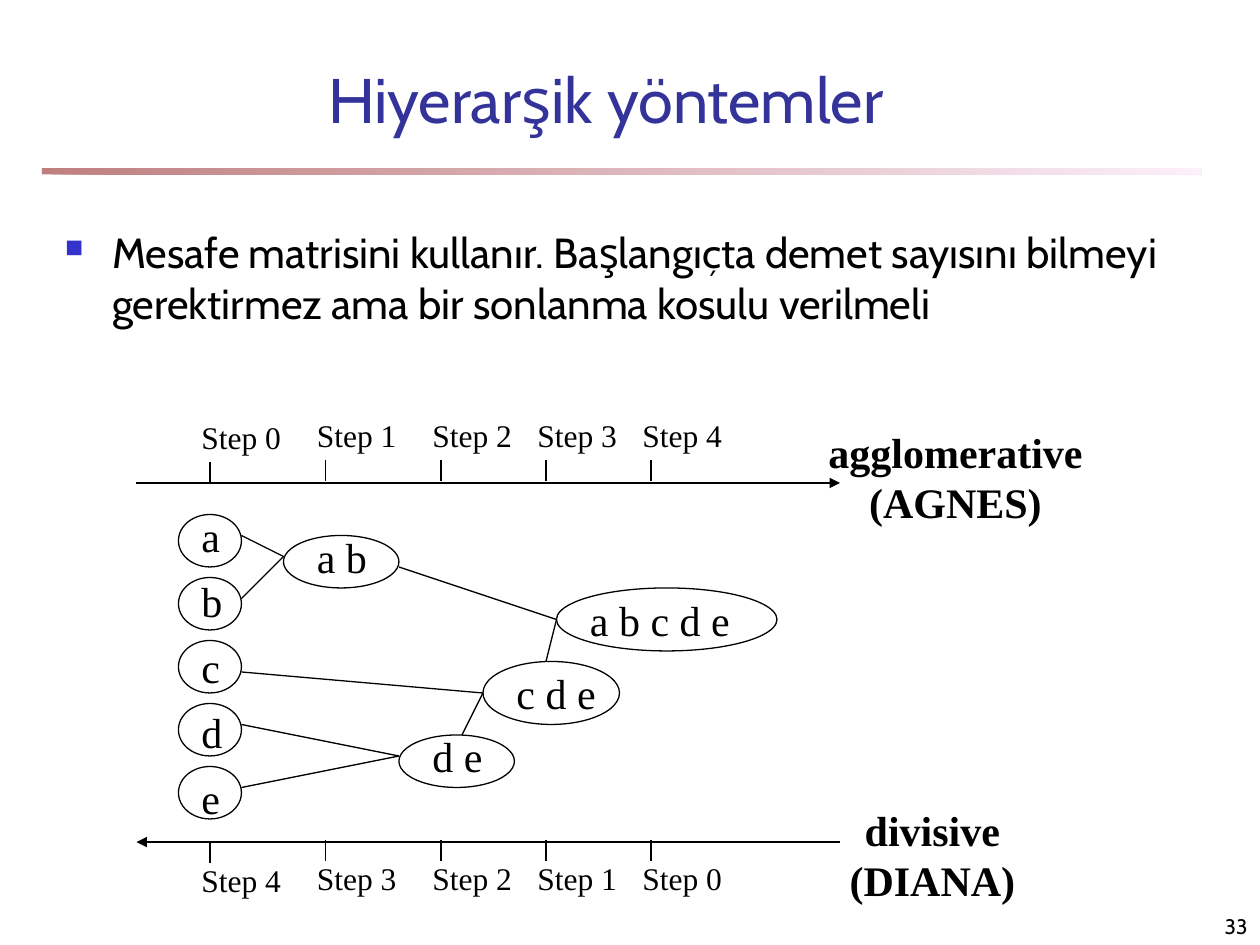
from lxml.etree import SubElement
from pptx import Presentation
from pptx.dml.color import RGBColor
from pptx.enum.shapes import MSO_CONNECTOR, MSO_SHAPE
from pptx.enum.text import MSO_ANCHOR, PP_ALIGN
from pptx.oxml.ns import qn
from pptx.util import Pt

PX = 7620  # 120 px to the inch
BLACK = "000000"
SERIF, SANS = "Times New Roman", "Cabin"

deck = Presentation()
deck.slide_width, deck.slide_height = 1200 * PX, 900 * PX
page = deck.slides.add_slide(deck.slide_layouts[6])


def add_text(text, left, top, width, height, size=24, font=SERIF, color=BLACK,
             align=PP_ALIGN.LEFT, wrap=False, bold=False):
    box = page.shapes.add_textbox(left * PX, top * PX, width * PX, height * PX)
    frame = box.text_frame
    frame.text = text
    frame.word_wrap = wrap
    for para in frame.paragraphs:
        para.alignment = align
        for span in para.runs:
            span.font.size = Pt(size)
            span.font.name = font
            span.font.bold = bold
            span.font.color.rgb = RGBColor.from_string(color)
    return frame


def add_line(x1, y1, x2, y2, weight=0.75, arrow=False):
    line = page.shapes.add_connector(
        MSO_CONNECTOR.STRAIGHT, x1 * PX, y1 * PX, x2 * PX, y2 * PX)
    line.line.color.rgb = RGBColor.from_string(BLACK)
    line.line.width = Pt(weight)
    properties = line._element.spPr
    if arrow:
        SubElement(properties.find(qn("a:ln")), qn("a:tailEnd"), type="triangle")
    SubElement(properties, qn("a:effectLst"))


# Fading rule under the title
rule = page.shapes.add_shape(MSO_SHAPE.RECTANGLE, 40 * PX, 160 * PX, 1104 * PX, 6 * PX)
rule.shadow.inherit = False
rule.line.fill.background()
rule.fill.gradient()
rule.fill.gradient_angle = 0
for stop, color in zip(rule.fill.gradient_stops, ("800000", "FAE2F6")):
    stop.color.rgb = RGBColor.from_string(color)
for color_element in rule._element.spPr.iter(qn("a:srgbClr")):
    SubElement(color_element, qn("a:alpha"), val="50000")

# Page number and title
number = add_text("33", 950, 850, 250, 50, 12, SANS, align=PP_ALIGN.RIGHT, wrap=True)
number.vertical_anchor = MSO_ANCHOR.BOTTOM
title = add_text("Hiyerarşik yöntemler", 98, 65, 958, 58, 36, SANS, "333399",
                 PP_ALIGN.CENTER, True)
title.vertical_anchor = MSO_ANCHOR.MIDDLE

# Bulleted statement
body = add_text("Mesafe matrisini kullanır. Başlangıçta demet sayısını bilmeyi "
                "gerektirmez ama bir sonlanma kosulu verilmeli",
                50, 210, 1090, 640, 24, SANS, wrap=True)
bullet = body.paragraphs[0]._p.get_or_add_pPr()
bullet.set("marL", str(45 * PX))
bullet.set("indent", str(-45 * PX))
SubElement(SubElement(bullet, qn("a:buClr")), qn("a:srgbClr"), val="3333CC")
SubElement(bullet, qn("a:buSzPct"), val="60000")
SubElement(bullet, qn("a:buChar"), char="■")

# Step axes: agglomerative runs right, divisive runs left
add_line(130, 460, 800, 460, 1.5, arrow=True)
add_line(800, 802, 130, 802, 1.5, arrow=True)
for step, x in enumerate((200, 310, 420, 520, 620)):
    drop = 2 if step == 0 else 0  # the first mark sits slightly lower
    for number, tick_top, label_top in ((step, 438, 390), (4 - step, 800, 812)):
        add_line(x, tick_top + drop, x, tick_top + drop + 20)
        add_text(f"Step {number}", x - 20, label_top + drop, 100, 48, 18, wrap=True)

# Clusters: label, label left, top and width, then ellipse left, top, width, height
clusters = [(name, 180, 480 + 125 * row // 2, 43, 170, 490 + 60 * row, 60, 50)
            for row, name in enumerate("abcde")]
clusters += [
    ("a b", 290, 500, 72, 270, 510, 110, 50),
    ("d e", 400, 690, 72, 380, 700, 110, 50),
    ("c d e", 480, 630, 100, 460, 630, 130, 60),
    ("a b c d e", 550, 560, 157, 530, 560, 210, 60),
]
for name, text_left, text_top, text_width, left, top, width, height in clusters:
    add_text(name, text_left, text_top, text_width, 60)
    ellipse = page.shapes.add_shape(
        MSO_SHAPE.OVAL, left * PX, top * PX, width * PX, height * PX)
    ellipse.shadow.inherit = False
    ellipse.fill.background()
    ellipse.line.color.rgb = RGBColor.from_string(BLACK)
    ellipse.line.width = Pt(0.75)

# Links between merged clusters
for link in (
    (230, 510, 270, 530), (230, 570, 270, 530),
    (230, 690, 380, 720), (230, 750, 380, 720),
    (230, 640, 460, 660), (440, 700, 460, 660),
    (380, 540, 530, 590), (520, 630, 530, 590),
):
    add_line(*link)

# Method names, in boxes with room to spare so that no line breaks
for text, left, top, width in (
    ("agglomerative\n(AGNES)", 775, 400, 270),
    ("divisive\n(DIANA)", 788, 760, 200),
):
    add_text(text, left, top, width, 108, align=PP_ALIGN.CENTER, bold=True)

deck.save("out.pptx")
